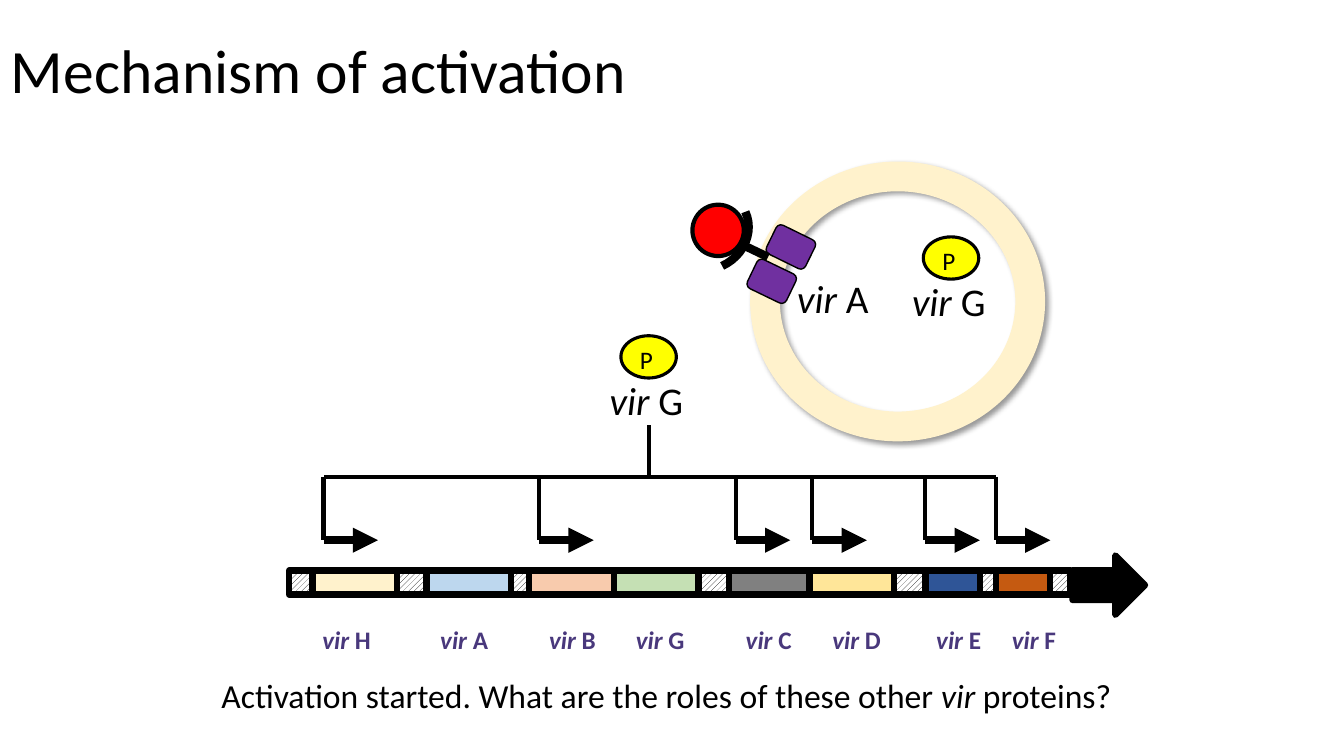
from lxml import etree
from pptx import Presentation
from pptx.dml.color import RGBColor
from pptx.enum.dml import MSO_PATTERN
from pptx.enum.shapes import MSO_CONNECTOR, MSO_SHAPE
from pptx.enum.text import MSO_ANCHOR, MSO_AUTO_SIZE, PP_ALIGN
from pptx.oxml.ns import qn
from pptx.util import Pt

HATCH = MSO_PATTERN.WIDE_UPWARD_DIAGONAL
RECT, OVAL, ROUNDED = MSO_SHAPE.RECTANGLE, MSO_SHAPE.OVAL, MSO_SHAPE.ROUNDED_RECTANGLE
ARC, RIGHT_ARROW = MSO_SHAPE.ARC, MSO_SHAPE.RIGHT_ARROW
STRAIGHT = MSO_CONNECTOR.STRAIGHT
TOP, MIDDLE = MSO_ANCHOR.TOP, MSO_ANCHOR.MIDDLE
LEFT, CENTER = PP_ALIGN.LEFT, PP_ALIGN.CENTER
GROW, FIXED = MSO_AUTO_SIZE.SHAPE_TO_FIT_TEXT, MSO_AUTO_SIZE.NONE


class Theme:
    font = "Calibri"
    title_size, protein_size, question_size, label_size = 44, 28, 24, 18
    black, white = "000000", "FFFFFF"
    gene_label = "49387C"
    signal, phosphate = "FF0000", "FFFF00"
    membrane, receptor = "FFF2CC", "7030A0"
    gene_fills = {
        "H": "FFF2CC", "A": "BDD7EE", "B": "F8CBAD", "G": "C5E0B4",
        "C": "808080", "D": "FFE699", "E": "2F5597", "F": "C55A11",
    }


presentation = Presentation()
presentation.slide_width, presentation.slide_height = Pt(960), Pt(540)
slide = presentation.slides.add_slide(presentation.slide_layouts[6])


def write(text, *, at, size, color=Theme.black, bold=False, align=LEFT,
          anchor=TOP, fit=GROW, spacing=1.0):
    frame = slide.shapes.add_textbox(*map(Pt, at)).text_frame
    frame.word_wrap = True
    frame.auto_size = fit
    frame.vertical_anchor = anchor
    paragraph = frame.paragraphs[0]
    paragraph.alignment = align
    paragraph.line_spacing = spacing
    for index, piece in enumerate(text.split("*")):
        if piece:
            run = paragraph.add_run()
            run.text = piece
            run.font.name = Theme.font
            run.font.size = Pt(size)
            run.font.bold = bold
            run.font.italic = index % 2 == 1
            run.font.color.rgb = RGBColor.from_string(color)


def draw(kind, *, at, fill=None, line=Theme.black, width, rotation=0, hatched=False):
    shape = slide.shapes.add_shape(kind, *map(Pt, at))
    shape.shadow.inherit = False
    shape.rotation = rotation
    if hatched:
        shape.fill.patterned()
        shape.fill.pattern = HATCH
        shape.fill.fore_color.rgb = RGBColor.from_string(Theme.black)
        shape.fill.back_color.rgb = RGBColor.from_string(Theme.white)
    elif fill:
        shape.fill.solid()
        shape.fill.fore_color.rgb = RGBColor.from_string(fill)
    else:
        shape.fill.background()
    shape.line.color.rgb = RGBColor.from_string(line)
    shape.line.width = Pt(width)
    return shape


write("Mechanism of activation", at=(0.7, 0, 589, 104.4), size=Theme.title_size,
      anchor=MIDDLE, fit=FIXED, spacing=0.9)

OPERON_TOP, OPERON_HEIGHT, OPERON_LINE = 407.5, 17.3, 4.5
spacers = [(206.6, 24.5), (283, 22.3), (364.3, 15.1), (499, 21.6),
           (635, 26.6), (699.1, 25.2), (749.5, 15.1)]
for left, length in spacers:
    draw(RECT, at=(left, OPERON_TOP, length, OPERON_HEIGHT), width=OPERON_LINE, hatched=True)

genes = [("H", 223.2, 60.5, 223.2), ("A", 304.6, 60.5, 307.4),
         ("B", 378, 60.5, 385.2), ("G", 438.5, 60.5, 447.1),
         ("C", 520.6, 60.5, 525.6), ("D", 578.2, 60.5, 587.5),
         ("E", 661, 38.9, 661.7), ("F", 711.4, 38.9, 715.7)]
for gene, left, length, label_left in genes:
    draw(RECT, at=(left, OPERON_TOP, length, OPERON_HEIGHT),
         fill=Theme.gene_fills[gene], width=OPERON_LINE)
    write(f"*vir *{gene}", at=(label_left, 442.1, 61.9, 28.8), size=Theme.label_size,
          color=Theme.gene_label, bold=True)
draw(RIGHT_ARROW, at=(766.1, 396.7, 51.8, 42.5), fill=Theme.black, width=OPERON_LINE)

draw(OVAL, at=(494.6, 146.2, 36.7, 36.7), fill=Theme.signal, width=3)
write("*vir *A", at=(562.3, 192.2, 116.6, 41), size=Theme.protein_size)

for left, top in [(443.5, 239.8), (659.5, 169.2)]:
    write("*vir *G", at=(left - 15.1, top + 25.2, 116.6, 41), size=Theme.protein_size)
    draw(OVAL, at=(left, top, 39.6, 30.2), fill=Theme.phosphate, width=2.25)
    write("P", at=(left + 6.5, top + 2.5, 20.9, 28.8), size=Theme.label_size)

write("Activation started. What are the roles of these other *vir* proteins?",
      at=(49, 478.8, 853.9, 36), size=Theme.question_size, align=CENTER)

cell = draw(OVAL, at=(546.5, 126, 189.4, 178.6), line=Theme.membrane, width=21.25)
cell_effects = cell.element.spPr.find(qn("a:effectLst"))
cell_shadow = etree.SubElement(
    cell_effects, qn("a:outerShdw"), blurRad=str(Pt(4)), dist=str(Pt(3)),
    dir="2700000", algn="tl", rotWithShape="0")
shadow_color = etree.SubElement(cell_shadow, qn("a:srgbClr"), val=Theme.black)
etree.SubElement(shadow_color, qn("a:alpha"), val="40000")

for left, top, rotation in [(535.7, 189.4, 205.8), (549.4, 164.9, 206.2)]:
    draw(ROUNDED, at=(left, top, 31, 23), fill=Theme.receptor, width=1, rotation=rotation)
draw(ARC, at=(475.9, 133.2, 56.2, 62.6), width=6, rotation=65.1)

VIR_G_X, BUS_Y, PROMOTER_Y = 463.7, 340.6, 385.9
promoters = [231.1, 385.2, 525.6, 580.3, 661, 711.4]
links = [(VIR_G_X, 303.8, VIR_G_X, BUS_Y, 3, False),
         (548.6, 183.6, 530.6, 175, 6, False)]
for end in (promoters[0], promoters[-1]):
    links.append((VIR_G_X, BUS_Y, end, BUS_Y, 3, False))
for promoter in promoters:
    links.append((promoter, BUS_Y, promoter, PROMOTER_Y, 3, False))
    links.append((promoter, PROMOTER_Y, promoter + 38.9, PROMOTER_Y, 6, True))

for *ends, width, has_head in links:
    link = slide.shapes.add_connector(STRAIGHT, *map(Pt, ends))
    link.line.color.rgb = RGBColor.from_string(Theme.black)
    link.line.width = Pt(width)
    if has_head:
        etree.SubElement(link.get_or_add_ln(), qn("a:tailEnd"), type="triangle")
    etree.SubElement(link.element.spPr, qn("a:effectLst"))

presentation.save("out.pptx")
